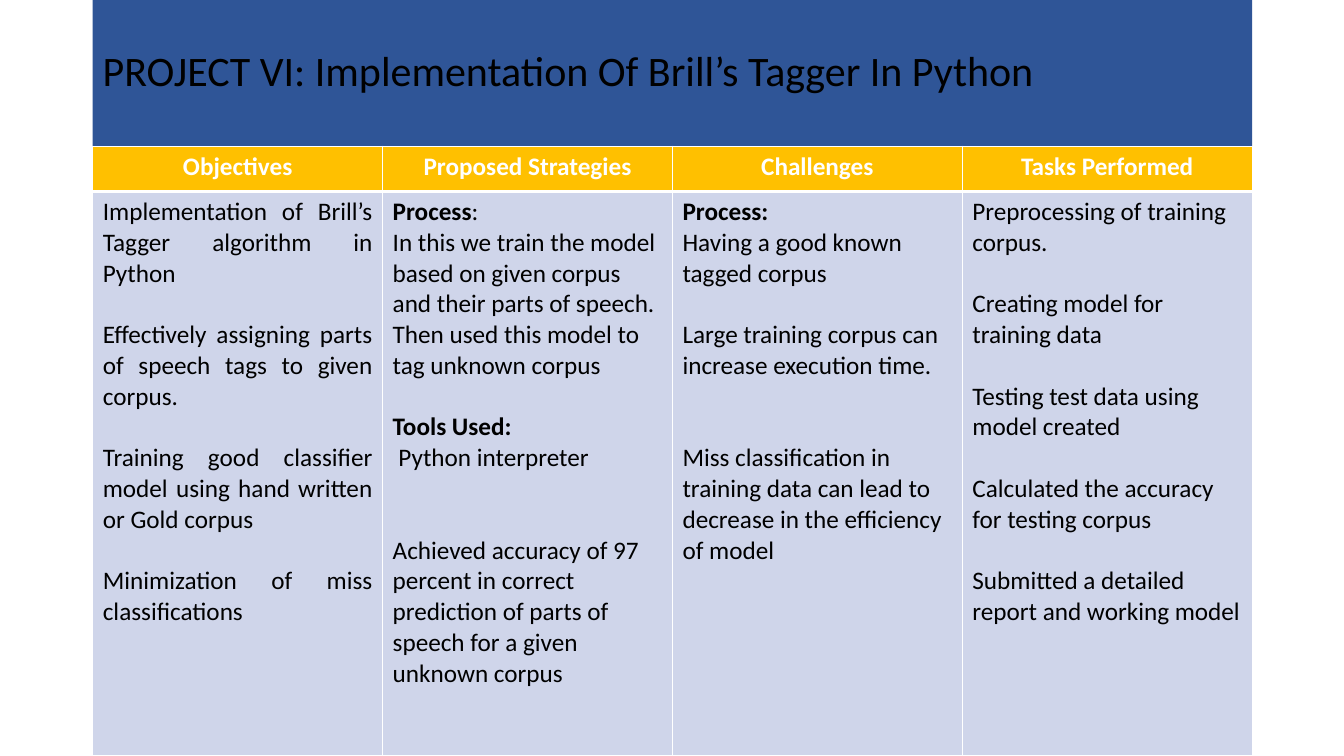
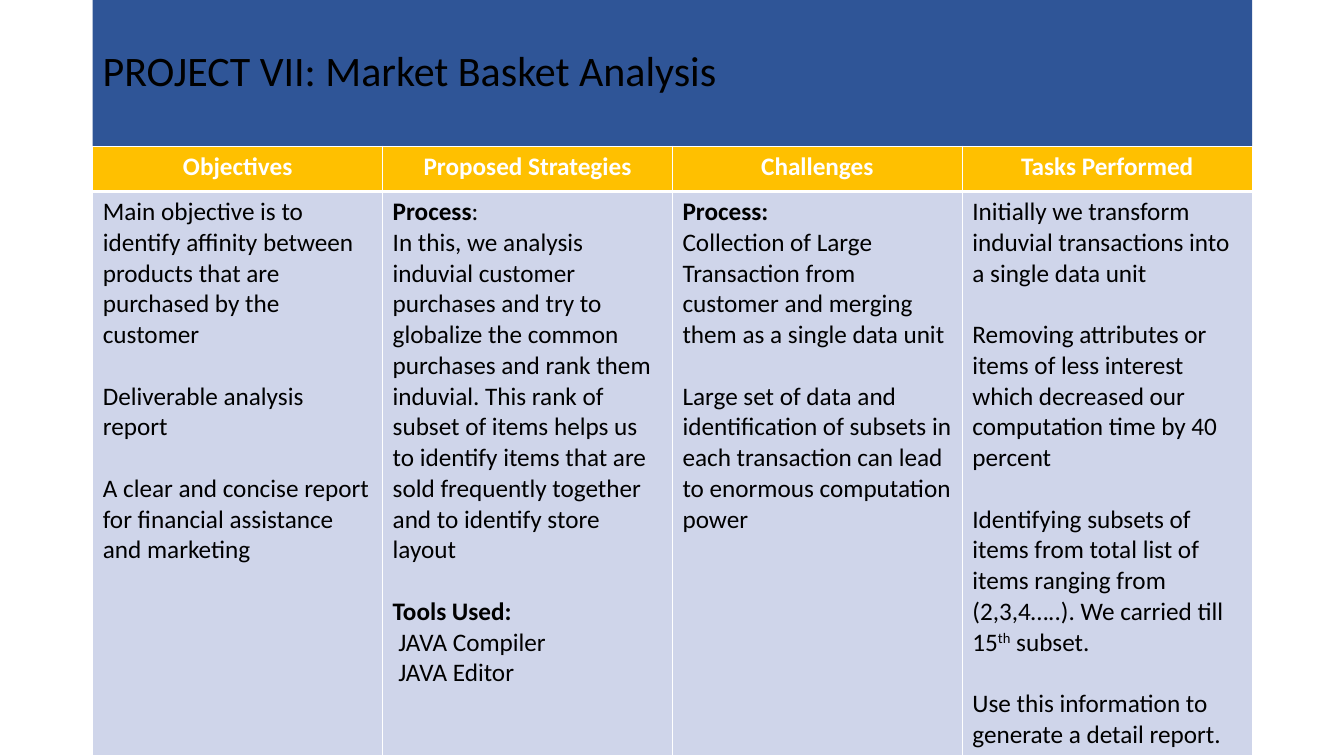
from dataclasses import dataclass

from lxml import etree
from pptx import Presentation
from pptx.dml.color import RGBColor
from pptx.enum.shapes import MSO_SHAPE
from pptx.enum.text import MSO_ANCHOR, PP_ALIGN
from pptx.oxml.ns import qn
from pptx.util import Inches, Pt

RECTANGLE = MSO_SHAPE.RECTANGLE
MIDDLE = MSO_ANCHOR.MIDDLE
LEFT, CENTER, JUSTIFY = PP_ALIGN.LEFT, PP_ALIGN.CENTER, PP_ALIGN.JUSTIFY

COLORS = {
    "band": "2F5597",
    "header": "FFC000",
    "body": "CFD5EA",
    "light": "FFFFFF",
    "text": "000000",
}
FONT = "Calibri"
BODY_SIZE = 18
LINE_GAP = 22  # one line of body text, in points
SIDE, WIDTH = 0.92, 11.5
BAND_HEIGHT, HEADER_HEIGHT, BODY_HEIGHT = 1.45, 0.45, 5.6
HEADINGS = ["Objectives", "Proposed Strategies", "Challenges", "Tasks Performed"]


@dataclass
class Para:
    """Bold lead, plain text, raised text and tail, after some empty lines."""
    text: str = ""
    gap: int = 0
    lead: str = ""
    raised: str = ""
    tail: str = ""


def spaced(*texts):
    """Paragraphs set one line apart."""
    return [Para(text, gap=1) for text in texts]


PROJECTS = [
    {
        "title": "PROJECT VI: Implementation Of Brill’s Tagger In Python",
        "objectives_align": JUSTIFY,
        "columns": [
            spaced(
                "Implementation of Brill’s Tagger algorithm in Python",
                "Effectively assigning parts of speech tags to given corpus.",
                "Training good classifier model using hand written or Gold corpus",
                "Minimization of miss classifications",
            ),
            [
                Para(":", lead="Process"),
                Para("In this we train the model based on given corpus and their "
                     "parts of speech. Then used this model to tag unknown corpus"),
                Para(lead="Tools Used:", gap=1),
                Para(" Python interpreter"),
                Para("Achieved accuracy of 97 percent in correct prediction of "
                     "parts of speech for a given unknown corpus", gap=2),
            ],
            [
                Para(lead="Process:"),
                Para("Having a good known tagged corpus"),
                Para("Large training corpus can increase execution time.", gap=1),
                Para("Miss classification in training data can lead to decrease "
                     "in the efficiency of model", gap=2),
            ],
            spaced(
                "Preprocessing of training corpus.",
                "Creating model for training data",
                "Testing test data using model created",
                "Calculated the accuracy for testing corpus",
                "Submitted a detailed report and working model",
            ),
        ],
    },
    {
        "title": "PROJECT VII: Market Basket Analysis",
        "objectives_align": LEFT,
        "columns": [
            spaced(
                "Main objective is to identify affinity between products that are "
                "purchased by the customer",
                "Deliverable analysis report",
                "A clear and concise report for financial assistance and marketing",
            ),
            [
                Para(":", lead="Process"),
                Para("In this, we analysis induvial customer purchases and try to "
                     "globalize the common purchases and rank them induvial. This "
                     "rank of subset of items helps us to identify items that are "
                     "sold frequently together and to identify store layout"),
                Para(lead="Tools Used:", gap=1),
                Para(" JAVA Compiler"),
                Para(" JAVA Editor"),
            ],
            [
                Para(lead="Process:"),
                Para("Collection of Large Transaction from customer and merging "
                     "them as a single data unit"),
                Para("Large set of data and identification of subsets in each "
                     "transaction can lead to enormous computation power", gap=1),
            ],
            [
                *spaced(
                    "Initially we transform induvial transactions into a single "
                    "data unit",
                    "Removing attributes or items of less interest which decreased "
                    "our computation time by 40 percent",
                ),
                Para("Identifying subsets of items from total list of items ranging "
                     "from (2,3,4…..). We carried till 15",
                     gap=1, raised="th", tail=" subset."),
                Para("Use this information to generate a detail report.", gap=1),
            ],
        ],
    },
]


def rgb(name):
    return RGBColor.from_string(COLORS[name])


def write_text(frame, paras, size=BODY_SIZE, color="text", bold=False,
               align=LEFT, line_spacing=1.0):
    frame.word_wrap = True
    for index, para in enumerate(paras):
        line = frame.add_paragraph() if index else frame.paragraphs[0]
        line.alignment = align
        line.line_spacing = line_spacing
        line.space_before = Pt(LINE_GAP * para.gap if index else 0)
        parts = [(para.lead, True, False), (para.text, bold, False),
                 (para.raised, bold, True), (para.tail, bold, False)]
        for text, is_bold, is_raised in parts:
            if not text:
                continue
            run = line.add_run()
            run.text = text
            run.font.name = FONT
            run.font.size = Pt(size)
            run.font.bold = is_bold
            run.font.color.rgb = rgb(color)
            if is_raised:
                run._r.get_or_add_rPr().set("baseline", "30000")


def set_borders(cell, top=1, bottom=1):
    """White cell edges; they come before the fill in the cell properties."""
    properties = cell._tc.get_or_add_tcPr()
    edges = [("a:lnL", 1), ("a:lnR", 1), ("a:lnT", top), ("a:lnB", bottom)]
    for position, (tag, points) in enumerate(edges):
        edge = etree.Element(qn(tag), w=str(Pt(points)))
        fill = etree.SubElement(edge, qn("a:solidFill"))
        etree.SubElement(fill, qn("a:srgbClr"), val=COLORS["light"])
        properties.insert(position, edge)


def fill_cell(cell, paras, fill, top=1, bottom=1, **text_format):
    cell.fill.solid()
    cell.fill.fore_color.rgb = rgb(fill)
    set_borders(cell, top, bottom)
    write_text(cell.text_frame, paras, **text_format)


def add_title_band(slide, title):
    band = slide.shapes.add_shape(RECTANGLE, Inches(SIDE), Inches(0),
                                  Inches(WIDTH), Inches(BAND_HEIGHT))
    band.shadow.inherit = False
    band.fill.solid()
    band.fill.fore_color.rgb = rgb("band")
    band.line.fill.background()
    band.text_frame.vertical_anchor = MIDDLE
    write_text(band.text_frame, [Para(title)], size=30, line_spacing=0.9)


def add_project_table(slide, columns, objectives_align):
    table = slide.shapes.add_table(
        2, len(HEADINGS), Inches(SIDE), Inches(BAND_HEIGHT),
        Inches(WIDTH), Inches(HEADER_HEIGHT + BODY_HEIGHT)).table
    table.horz_banding = False
    table.rows[0].height = Inches(HEADER_HEIGHT)
    table.rows[1].height = Inches(BODY_HEIGHT)
    for index, (heading, paras) in enumerate(zip(HEADINGS, columns)):
        fill_cell(table.cell(0, index), [Para(heading)], "header", bottom=3,
                  color="light", bold=True, align=CENTER)
        fill_cell(table.cell(1, index), paras, "body", top=3,
                  align=LEFT if index else objectives_align)


def main():
    deck = Presentation()
    deck.slide_width, deck.slide_height = Inches(13.33), Inches(7.5)
    blank = deck.slide_layouts[6]
    for project in PROJECTS:
        slide = deck.slides.add_slide(blank)
        add_title_band(slide, project["title"])
        add_project_table(slide, project["columns"], project["objectives_align"])
    deck.save("out.pptx")


main()
